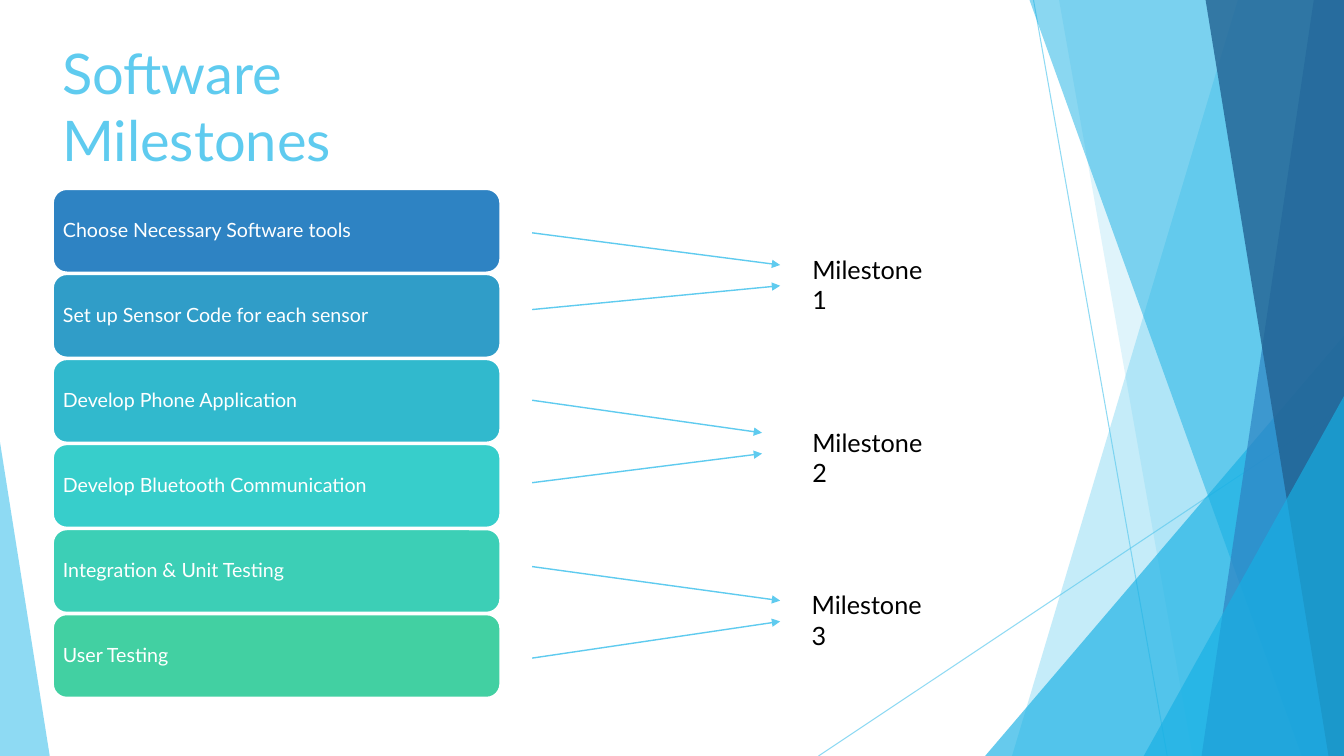
import pptx
import pptx.util
import pptx.dml.color
import pptx.enum.shapes
import pptx.enum.text
import pptx.oxml
import pptx.oxml.ns

THEME = {
    "font": "Lato", "white": "FFFFFF", "text": "000000",
    "sky": "5FCBEF", "azure": "17B0E4", "blue": "2E83C3", "navy": "226292",
    "title_size": 40, "step_size": 14, "milestone_size": 18,
}
SLIDE_W, SLIDE_H = 13.33, 7.5

TITLE = "Software Milestones"
STEPS = [
    ("Choose Necessary Software tools", "2E83C3"),
    ("Set up Sensor Code for each sensor", "309DC8"),
    ("Develop Phone Application", "31B9CD"),
    ("Develop Bluetooth Communication", "37CECB"),
    ("Integration & Unit Testing", "3CCFB6"),
    ("User Testing", "42D0A2"),
]
MILESTONES = [
    ("Milestone 1", (59.7, 32.95), (58.05, 35.05), (30.8, 40.95)),
    ("Milestone 2", (59.7, 55.85), (56.7, 57.25), (52.95, 63.85)),
    ("Milestone 3", (59.65, 77.35), (58.05, 79.45), (74.95, 87.05)),
]
RAYS = [((76.9, 0), (86.85, 100)), ((100, 53.7), (60.9, 100))]
FACETS = [
    ("band", (92.1, 75.3), "sky", 36),
    ("band", (78.8, 88.75), "sky", 20),
    ("corner", (73.3, 44.4), "azure", 66),
    ("band", (76.6, 96.85), "azure", 50),
    ("band", (97.75, 89.4), "blue", 70),
    ("band", (89.7, 98.85), "navy", 80),
    ("corner", (85.1, 52.4), "azure", 66),
]
LEFT_WEDGE = (0, 58.5, 3.7, 41.5)
TITLE_BOX = (3.9, 4, 34.65, 20)
STEP_LEFT, STEP_TOP, STEP_W, STEP_H, STEP_PITCH = 3.93, 25, 33.3, 11.05, 11.25
ARROW_X, TIP_GAP = 39.6, 2.75
LABEL_W, LABEL_H = 10.5, 9

Inches, Pt = pptx.util.Inches, pptx.util.Pt
MSO_SHAPE = pptx.enum.shapes.MSO_SHAPE
MIDDLE = pptx.enum.text.MSO_ANCHOR.MIDDLE
TOP = pptx.enum.text.MSO_ANCHOR.TOP


def x(share):
    return Inches(SLIDE_W * share / 100)


def y(share):
    return Inches(SLIDE_H * share / 100)


def box(left, top, width, height):
    return x(left), y(top), x(width), y(height)


def rgb(name):
    return pptx.dml.color.RGBColor.from_string(THEME.get(name, name))


def element(parent, tag, **attrs):
    el = pptx.oxml.parse_xml(f"<{tag} {pptx.oxml.ns.nsdecls('a')}/>")
    for key, value in attrs.items():
        el.set(key, value)
    parent.append(el)


def set_opacity(fill_el, percent):
    element(fill_el.find(".//" + pptx.oxml.ns.qn("a:srgbClr")), "a:alpha", val=str(percent * 1000))


def paint(sp, color, opacity=None, line=None):
    sp.shadow.inherit = False
    sp.fill.solid()
    sp.fill.fore_color.rgb = rgb(color)
    if opacity:
        set_opacity(sp.fill._xPr, opacity)
    if line:
        sp.line.color.rgb = rgb(line)
        sp.line.width = Pt(1.5)
    else:
        sp.line.fill.background()


def write(sp, text, size, color, anchor=TOP, spacing=None):
    tf = sp.text_frame
    tf.word_wrap = True
    tf.vertical_anchor = anchor
    p = tf.paragraphs[0]
    p.alignment = pptx.enum.text.PP_ALIGN.LEFT
    if spacing:
        p.line_spacing = spacing
    r = p.add_run()
    r.text = text
    r.font.name = THEME["font"]
    r.font.size = Pt(THEME[size])
    r.font.color.rgb = rgb(color)


def connect(shapes, start, end, width, opacity=None, arrow=False):
    line = shapes.add_connector(
        pptx.enum.shapes.MSO_CONNECTOR.STRAIGHT,
        x(start[0]), y(start[1]), x(end[0]), y(end[1]))
    line.line.color.rgb = rgb("sky")
    line.line.width = Pt(width)
    ln = line.line._get_or_add_ln()
    if opacity:
        set_opacity(ln, opacity)
    if arrow:
        element(ln, "a:tailEnd", type="triangle")
    element(line._element.spPr, "a:effectLst")


def triangle(shapes, area, apex, color, opacity):
    sp = shapes.add_shape(MSO_SHAPE.ISOSCELES_TRIANGLE, *box(*area))
    sp.adjustments[0] = apex
    paint(sp, color, opacity)


def band(shapes, top_x, bottom_x, color, opacity):
    builder = shapes.build_freeform(x(top_x), 0, 1.0)
    builder.add_line_segments([(x(100), 0), (x(100), y(100)), (x(bottom_x), y(100))])
    paint(builder.convert_to_shape(), color, opacity)


def draw_backdrop(shapes):
    for start, end in RAYS:
        connect(shapes, start, end, 0.75, opacity=70)
    for kind, (a, b), color, opacity in FACETS:
        if kind == "band":
            band(shapes, a, b, color, opacity)
        else:
            triangle(shapes, (a, b, 100 - a, 100 - b), 1, color, opacity)
    triangle(shapes, LEFT_WEDGE, 0, "sky", 70)


def draw_steps(shapes):
    for i, (text, color) in enumerate(STEPS):
        sp = shapes.add_shape(
            MSO_SHAPE.ROUNDED_RECTANGLE,
            *box(STEP_LEFT, STEP_TOP + i * STEP_PITCH, STEP_W, STEP_H))
        paint(sp, color, line="white")
        write(sp, text, "step_size", "white", anchor=MIDDLE, spacing=0.9)
        sp.text_frame.margin_left = Inches(0.06)


def draw_milestones(shapes):
    for text, (left, top), (tip_x, tip_y), starts in MILESTONES:
        for i, start_y in enumerate(starts):
            connect(shapes, (ARROW_X, start_y), (tip_x, tip_y + i * TIP_GAP), 1, arrow=True)
        label = shapes.add_textbox(*box(left, top, LABEL_W, LABEL_H))
        write(label, text, "milestone_size", "text")


def main():
    prs = pptx.Presentation()
    prs.slide_width, prs.slide_height = Inches(SLIDE_W), Inches(SLIDE_H)
    shapes = prs.slides.add_slide(prs.slide_layouts[6]).shapes
    draw_backdrop(shapes)
    write(shapes.add_textbox(*box(*TITLE_BOX)), TITLE, "title_size", "sky", anchor=MIDDLE)
    draw_steps(shapes)
    draw_milestones(shapes)
    prs.save("out.pptx")


if __name__ == "__main__":
    main()
